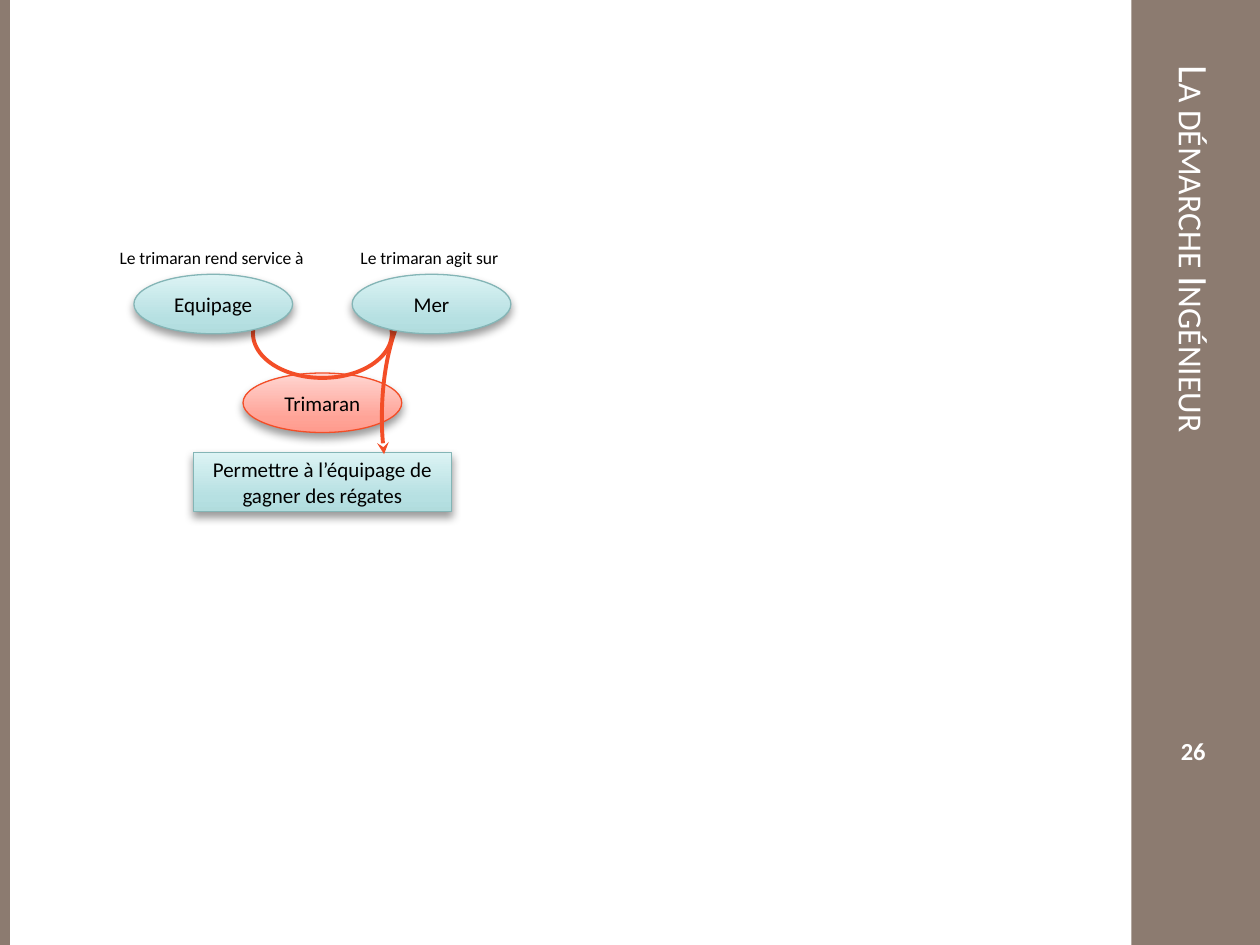
from pptx import Presentation
from pptx.dml.color import RGBColor
from pptx.enum.shapes import MSO_SHAPE as Shape
from pptx.enum.text import MSO_ANCHOR as Anchor, PP_ALIGN as Align
from pptx.oxml import parse_xml
from pptx.oxml.ns import nsdecls, qn
from pptx.util import Cm, Pt

BROWN = RGBColor(0x8C, 0x7B, 0x70)
WHITE = RGBColor(0xFF, 0xFF, 0xFF)
BLACK = RGBColor(0, 0, 0)
ORANGE = RGBColor(0xF3, 0x4E, 0x27)
TEAL = RGBColor(0x84, 0xB5, 0xB6)
TEAL_STOPS = {0: "B1DCDD", 25: "B6E0E2", 100: "DCF3F4"}
RED_STOPS = {0: "FF9A8C", 25: "FFA397", 100: "FFD6D2"}
SHADOW = (f'<a:outerShdw {nsdecls("a")} blurRad="66040" dist="38100" dir="5400000" '
          'rotWithShape="0"><a:srgbClr val="000000"><a:alpha val="40000"/>'
          '</a:srgbClr></a:outerShdw>')

deck = Presentation()
deck.slide_width, deck.slide_height = Cm(25.4), Cm(19.05)
page = deck.slides.add_slide(deck.slide_layouts[6])


def write(box, text, align=Align.CENTER, anchor=Anchor.MIDDLE, **font):
    frame = box.text_frame
    frame.word_wrap = True
    frame.vertical_anchor = anchor
    para = frame.paragraphs[0]
    para.alignment = align
    span = para.add_run()
    span.text = text
    span.font.color.rgb = font.pop("color", BLACK)
    for name, value in {"name": "Calibri", **font}.items():
        setattr(span.font, name, value)
    return span


def add_shape(kind, left, top, width, height):
    shape = page.shapes.add_shape(kind, Cm(left), Cm(top), Cm(width), Cm(height))
    shape.shadow.inherit = False
    return shape


# Side bands
for left, width in ((22.81, 2.59), (0, 0.2)):
    band = add_shape(Shape.RECTANGLE, left, 0, width, 19.05)
    band.fill.solid()
    band.fill.fore_color.rgb = BROWN
    band.line.fill.background()

# Vertical title and page number
title = page.shapes.add_textbox(Cm(22.81), Cm(1.07), Cm(2.59), Cm(16.31))
span = write(title, "La démarche Ingénieur", Align.LEFT, size=Pt(24), color=WHITE)
span.font._element.set("cap", "small")
title.text_frame._txBody.bodyPr.set("vert", "vert")
number = page.shapes.add_textbox(Cm(22.71), Cm(14.73), Cm(2.69), Cm(0.79))
write(number, "26", size=Pt(14), bold=True, color=WHITE)

# Diagram, from back to front: nodes carry text, arcs carry adjustments
OVAL = (3.2, 1.2)
parts = [
    (Shape.OVAL, 4.9, 7.52, *OVAL, "Trimaran", RED_STOPS, ORANGE),
    (Shape.RECTANGLE, 3.9, 9.12, 5.2, 1.2,
     "Permettre à l’équipage de gagner des régates", TEAL_STOPS, TEAL),
    (Shape.ARC, 5.1, 5.82, 2.8, 1.8, (206.651, 113.574), False),
    (Shape.OVAL, 2.7, 5.53, *OVAL, "Equipage", TEAL_STOPS, TEAL),
    (Shape.ARC, 7.7, 5.69, 2.29, 5.44, (175.421, 20.498), True),
    (Shape.OVAL, 7.1, 5.53, *OVAL, "Mer", TEAL_STOPS, TEAL),
]
for kind, left, top, width, height, content, *style in parts:
    shape = add_shape(kind, left, top, width, height)
    properties = shape._element.spPr
    if kind == Shape.ARC:
        shape.adjustments[0], shape.adjustments[1] = content
        shape.fill.background()
        shape.line.color.rgb = ORANGE
        shape.line.width = Pt(2.25)
        if style[0]:  # mirrored arc with an arrowhead
            properties.find(qn("a:xfrm")).set("flipH", "1")
            properties.find(qn("a:ln")).append(
                parse_xml(f'<a:tailEnd {nsdecls("a")} type="stealth"/>'))
        continue
    stops, outline = style
    shape.line.color.rgb = outline
    shape.line.width = Pt(0.75)
    stop_xml = "".join(f'<a:gs pos="{place * 1000}"><a:srgbClr val="{color}"/></a:gs>'
                       for place, color in stops.items())
    properties.find(qn("a:prstGeom")).addnext(parse_xml(
        f'<a:gradFill {nsdecls("a")} rotWithShape="1"><a:gsLst>{stop_xml}</a:gsLst>'
        '<a:lin ang="16200000" scaled="0"/></a:gradFill>'))
    properties.find(qn("a:effectLst")).append(parse_xml(SHADOW))
    write(shape, content, size=Pt(12))

# Labels above the upper ovals
for left, text in ((2.11, "Le trimaran rend service à "), (6.5, "Le trimaran agit sur ")):
    label = page.shapes.add_textbox(Cm(left), Cm(4.85), Cm(4.39), Cm(0.69))
    write(label, text, anchor=Anchor.TOP, size=Pt(10))

deck.save("out.pptx")
